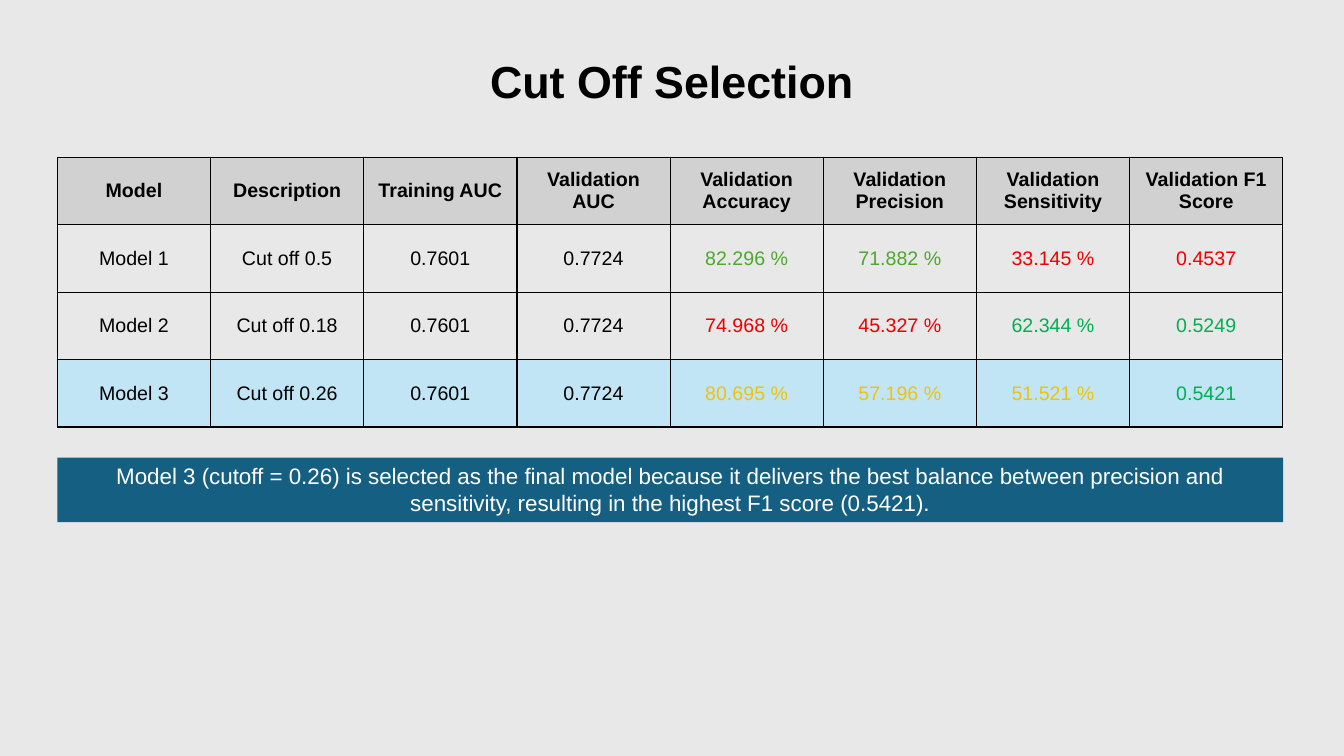
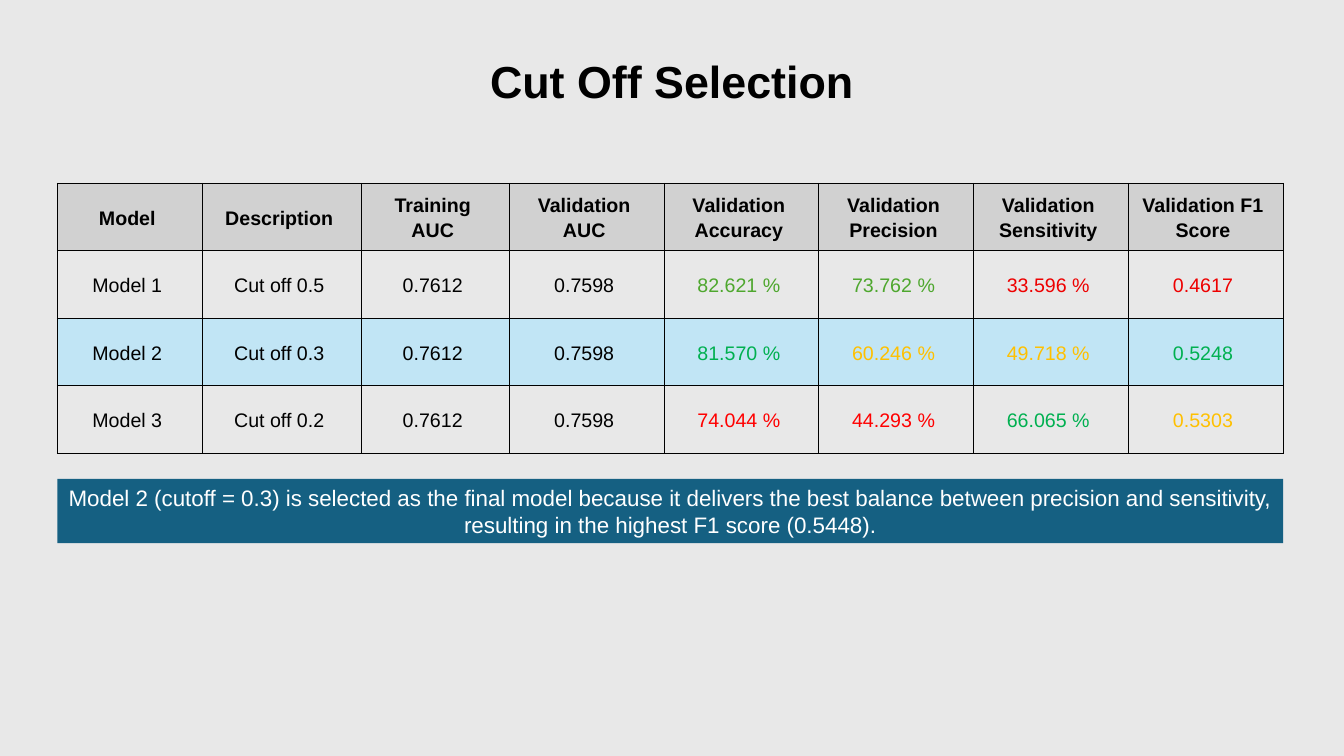
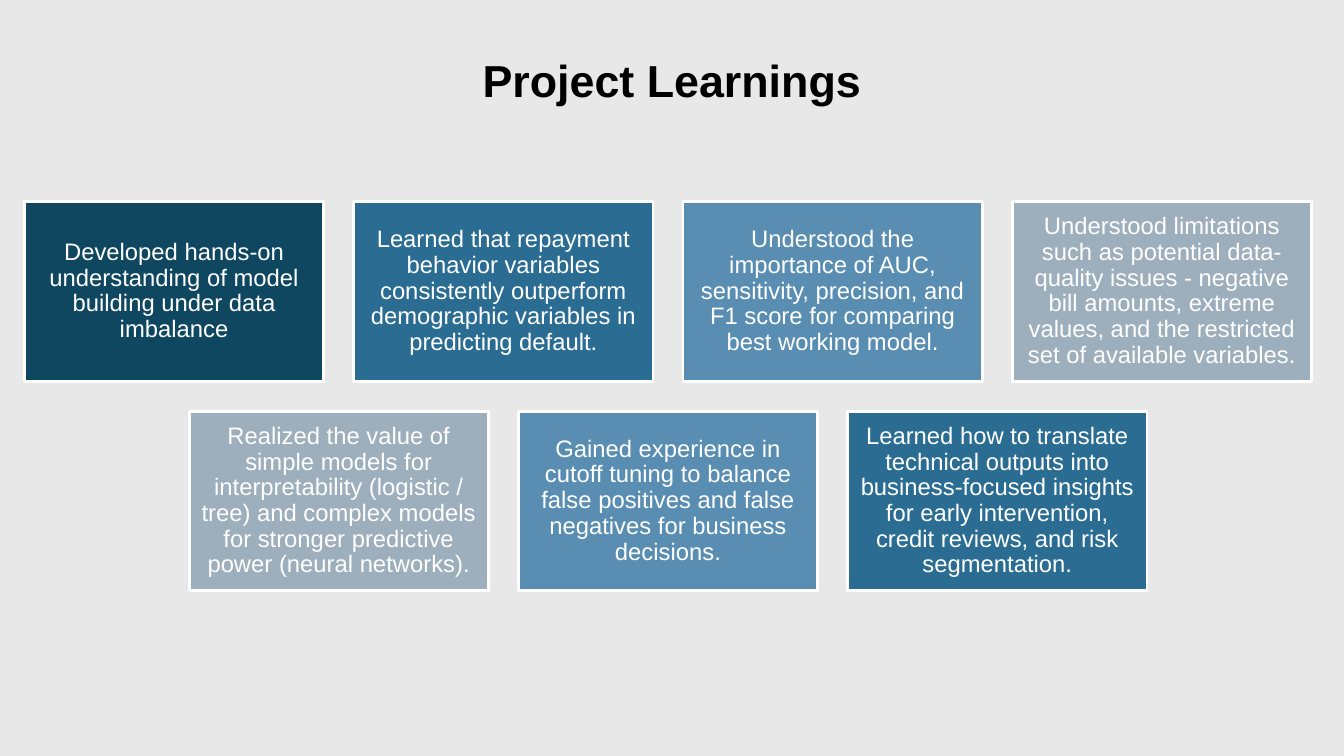
from dataclasses import dataclass

from lxml.etree import SubElement
from pptx import Presentation
from pptx.dml.color import RGBColor
from pptx.enum.shapes import MSO_SHAPE as Preset
from pptx.enum.text import MSO_ANCHOR as Anchor, MSO_AUTO_SIZE as AutoSize, PP_ALIGN as Align
from pptx.oxml.ns import qn
from pptx.util import Pt


@dataclass(frozen=True)
class Theme:
    font: str = "Arial"
    page: str = "E8E8E8"
    ink: str = "000000"
    white: str = "FFFFFF"
    header: str = "D1D1D1"
    chosen: str = "C1E5F5"
    banner: str = "156082"
    leaf: str = "4EA72E"
    green: str = "00B050"
    crimson: str = "EE0000"
    red: str = "FF0000"
    gold: str = "EFC30A"
    amber: str = "FFC000"
    navy: str = "104760"
    teal: str = "2B6D92"
    sky: str = "598EB2"
    mist: str = "9DAEBC"
    title_size: float = 32
    card_size: float = 17
    banner_size: float = 16
    table_size: float = 14


THEME = Theme()
PAGE_WIDTH, PAGE_HEIGHT = 960, 540
TITLE_HEIGHT = 104.4
LEFT, CONTENT_WIDTH = 41, 875.5
ROW_HEIGHT, BANNER_HEIGHT = 48.2, 46
CARD_WIDTH, CARD_HEIGHT, CARD_GAP = 213.8, 128.3, 21.4
CARDS_TOP, CARDS_CENTER = 144, 477.2

HEADERS = (
    "Model", "Description", "Training AUC", "Validation AUC",
    "Validation Accuracy", "Validation Precision",
    "Validation Sensitivity", "Validation F1 Score",
)

SELECTIONS = (
    {
        "title": "Cut Off Selection",
        "top": 112.3,
        "banner_top": 326.9,
        "first_widths": (),
        "margins": {"margin_left": Pt(5), "margin_right": Pt(5), "margin_top": 0, "margin_bottom": 0},
        "line_spacing": 1.0,
        "border": 1,
        "chosen_row": 3,
        "rows": (
            ("Model 1", "Cut off 0.5", "0.7601", "0.7724", "82.296 %", "71.882 %", "33.145 %", "0.4537"),
            ("Model 2", "Cut off 0.18", "0.7601", "0.7724", "74.968 %", "45.327 %", "62.344 %", "0.5249"),
            ("Model 3", "Cut off 0.26", "0.7601", "0.7724", "80.695 %", "57.196 %", "51.521 %", "0.5421"),
        ),
        "score_colors": (
            (THEME.leaf, THEME.leaf, THEME.crimson, THEME.crimson),
            (THEME.crimson, THEME.crimson, THEME.green, THEME.green),
            (THEME.gold, THEME.gold, THEME.gold, THEME.green),
        ),
        "banner": "Model 3 (cutoff = 0.26) is selected as the final model because it delivers the best "
                  "balance between precision and sensitivity, resulting in the highest F1 score (0.5421).",
    },
    {
        "title": "Cut Off Selection",
        "top": 130.9,
        "banner_top": 342,
        "first_widths": (103.7, 113.4, 105.9),
        "margins": {"margin_left": Pt(7.2), "margin_right": Pt(11)},
        "line_spacing": Pt(17.8),
        "border": 0.75,
        "chosen_row": 2,
        "rows": (
            ("Model 1", "Cut off 0.5", "0.7612", "0.7598", "82.621 %", "73.762 %", "33.596 %", "0.4617"),
            ("Model 2", "Cut off 0.3", "0.7612", "0.7598", "81.570 %", "60.246 %", "49.718 %", "0.5248"),
            ("Model 3", "Cut off 0.2", "0.7612", "0.7598", "74.044 %", "44.293 %", "66.065 %", "0.5303"),
        ),
        "score_colors": (
            (THEME.leaf, THEME.leaf, THEME.crimson, THEME.crimson),
            (THEME.green, THEME.amber, THEME.amber, THEME.green),
            (THEME.red, THEME.red, THEME.green, THEME.amber),
        ),
        "banner": "Model 2 (cutoff = 0.3) is selected as the final model because it delivers the best "
                  "balance between precision and sensitivity, resulting in the highest F1 score (0.5448).",
    },
)

LEARNINGS_TITLE = "Project Learnings"
LEARNINGS = (
    (
        ("Developed hands-on understanding of model building under data imbalance", THEME.navy),
        ("Learned that repayment behavior variables consistently outperform demographic variables "
         "in predicting default.", THEME.teal),
        ("Understood the importance of AUC, sensitivity, precision, and F1 score for comparing "
         "best working model.", THEME.sky),
        ("Understood limitations such as potential data-quality issues - negative bill amounts, "
         "extreme values, and the restricted set of available variables.", THEME.mist),
    ),
    (
        ("Realized the value of simple models for interpretability (logistic / tree) and complex "
         "models for stronger predictive power (neural networks).", THEME.mist),
        ("Gained experience in cutoff tuning to balance false positives and false negatives for "
         "business decisions.", THEME.sky),
        ("Learned how to translate technical outputs into business-focused insights for early "
         "intervention, credit reviews, and risk segmentation.", THEME.teal),
    ),
)


def apply(target, values):
    for name, value in values.items():
        setattr(target, name, value)


def paint(fill, color):
    fill.solid()
    fill.fore_color.rgb = RGBColor.from_string(color)


def write(frame, text, size, color, bold=False, line_spacing=1.0):
    para = frame.paragraphs[0]
    apply(para, {"alignment": Align.CENTER, "line_spacing": line_spacing})
    span = para.add_run()
    span.text = text
    apply(span.font, {"name": THEME.font, "size": Pt(size), "bold": bold})
    span.font.color.rgb = RGBColor.from_string(color)


def add_page(deck, title, top):
    page = deck.slides.add_slide(deck.slide_layouts[5])
    box = page.shapes.title
    apply(box, {"left": 0, "top": Pt(top), "width": Pt(PAGE_WIDTH), "height": Pt(TITLE_HEIGHT)})
    apply(box.text_frame, {"vertical_anchor": Anchor.MIDDLE, "word_wrap": True, "auto_size": AutoSize.NONE})
    write(box.text_frame, title, THEME.title_size, THEME.ink, True, 0.9)
    return page


def add_panel(page, left, top, width, height, color):
    panel = page.shapes.add_shape(Preset.RECTANGLE, Pt(left), Pt(top), Pt(width), Pt(height))
    panel.shadow.inherit = False
    paint(panel.fill, color)
    panel.text_frame.word_wrap = True
    return panel


def draw_borders(cell, width):
    properties = cell._tc.get_or_add_tcPr()
    for side in ("lnL", "lnR", "lnT", "lnB"):
        line = SubElement(properties, qn(f"a:{side}"), w=str(Pt(width)))
        solid = SubElement(line, qn("a:solidFill"))
        SubElement(solid, qn("a:srgbClr"), val=THEME.ink)


def add_score_table(page, selection):
    rows = (HEADERS, *selection["rows"])
    table = page.shapes.add_table(
        len(rows), len(HEADERS), Pt(LEFT), Pt(selection["top"]),
        Pt(CONTENT_WIDTH), Pt(ROW_HEIGHT * len(rows)),
    ).table
    apply(table, {"first_row": False, "horz_banding": False})
    first = selection["first_widths"]
    shared = (CONTENT_WIDTH - sum(first)) / (len(HEADERS) - len(first))
    for index, column in enumerate(table.columns):
        column.width = Pt(first[index] if index < len(first) else shared)
    fills = {0: THEME.header, selection["chosen_row"]: THEME.chosen}
    plain = (THEME.ink,) * 4
    colors = (plain * 2, *(plain + scores for scores in selection["score_colors"]))
    for r, texts in enumerate(rows):
        table.rows[r].height = Pt(ROW_HEIGHT)
        for c, text in enumerate(texts):
            cell = table.cell(r, c)
            apply(cell, {"vertical_anchor": Anchor.MIDDLE, **selection["margins"]})
            draw_borders(cell, selection["border"])
            if r in fills:
                paint(cell.fill, fills[r])
            else:
                cell.fill.background()
            write(cell.text_frame, text, THEME.table_size, colors[r][c], r == 0, selection["line_spacing"])


def add_selection(deck, selection):
    page = add_page(deck, selection["title"], 7.9)
    add_score_table(page, selection)
    banner = add_panel(page, LEFT, selection["banner_top"], CONTENT_WIDTH, BANNER_HEIGHT, THEME.banner)
    banner.line.fill.background()
    banner.text_frame.vertical_anchor = Anchor.TOP
    write(banner.text_frame, selection["banner"], THEME.banner_size, THEME.white)


def add_learnings(deck):
    page = add_page(deck, LEARNINGS_TITLE, 7.2)
    sides = ("left", "right", "top", "bottom")
    margins = {f"margin_{side}": Pt(5) for side in sides}
    for r, cards in enumerate(LEARNINGS):
        row_width = len(cards) * (CARD_WIDTH + CARD_GAP) - CARD_GAP
        top = CARDS_TOP + r * (CARD_HEIGHT + CARD_GAP)
        for c, (text, color) in enumerate(cards):
            left = CARDS_CENTER - row_width / 2 + c * (CARD_WIDTH + CARD_GAP)
            card = add_panel(page, left, top, CARD_WIDTH, CARD_HEIGHT, color)
            paint(card.line.fill, THEME.white)
            card.line.width = Pt(2)
            apply(card.text_frame, {"vertical_anchor": Anchor.MIDDLE, **margins})
            write(card.text_frame, text, THEME.card_size, THEME.white, line_spacing=0.9)


def main():
    deck = Presentation()
    apply(deck, {"slide_width": Pt(PAGE_WIDTH), "slide_height": Pt(PAGE_HEIGHT)})
    paint(deck.slide_master.background.fill, THEME.page)
    for selection in SELECTIONS:
        add_selection(deck, selection)
    add_learnings(deck)
    deck.save("out.pptx")


if __name__ == "__main__":
    main()
